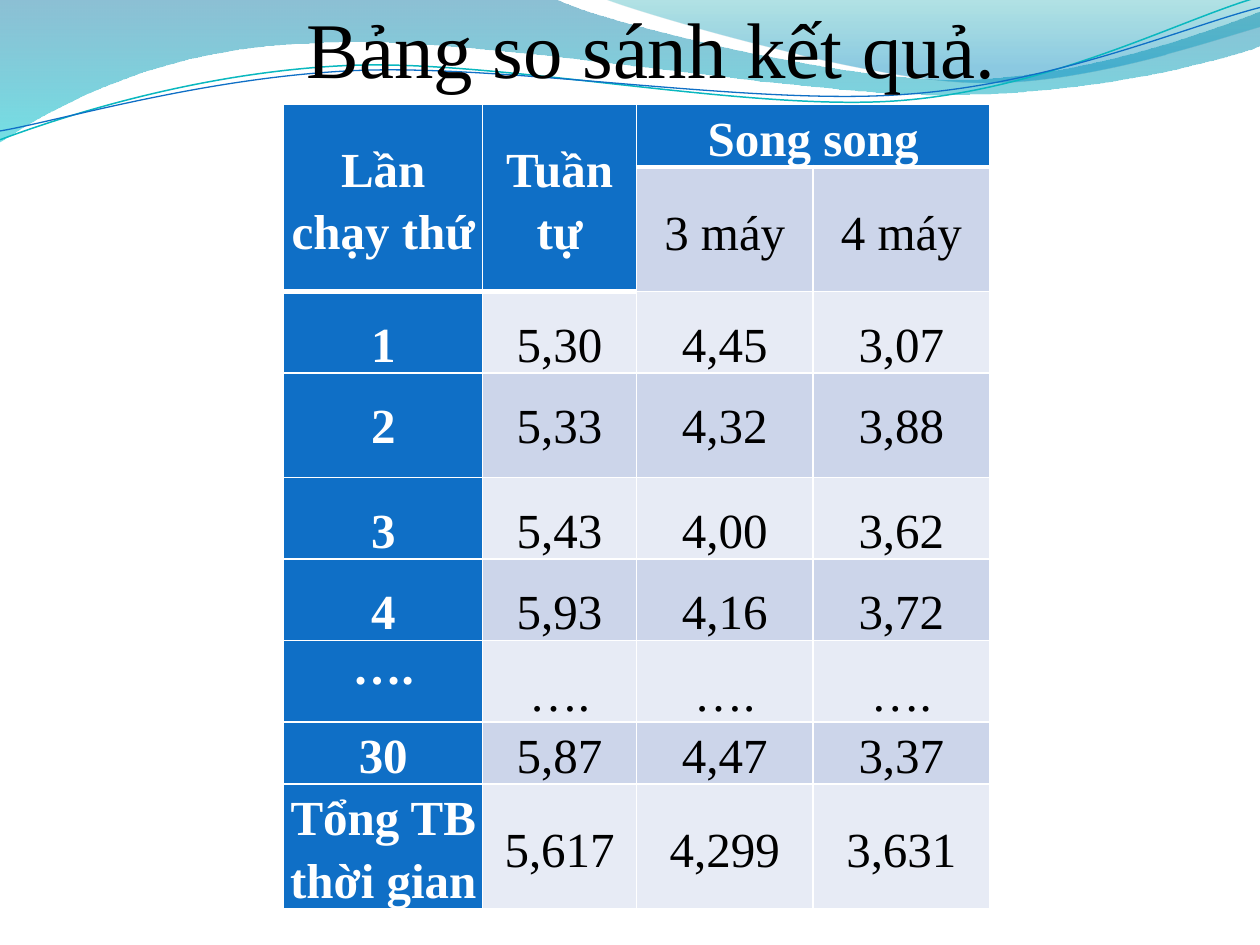
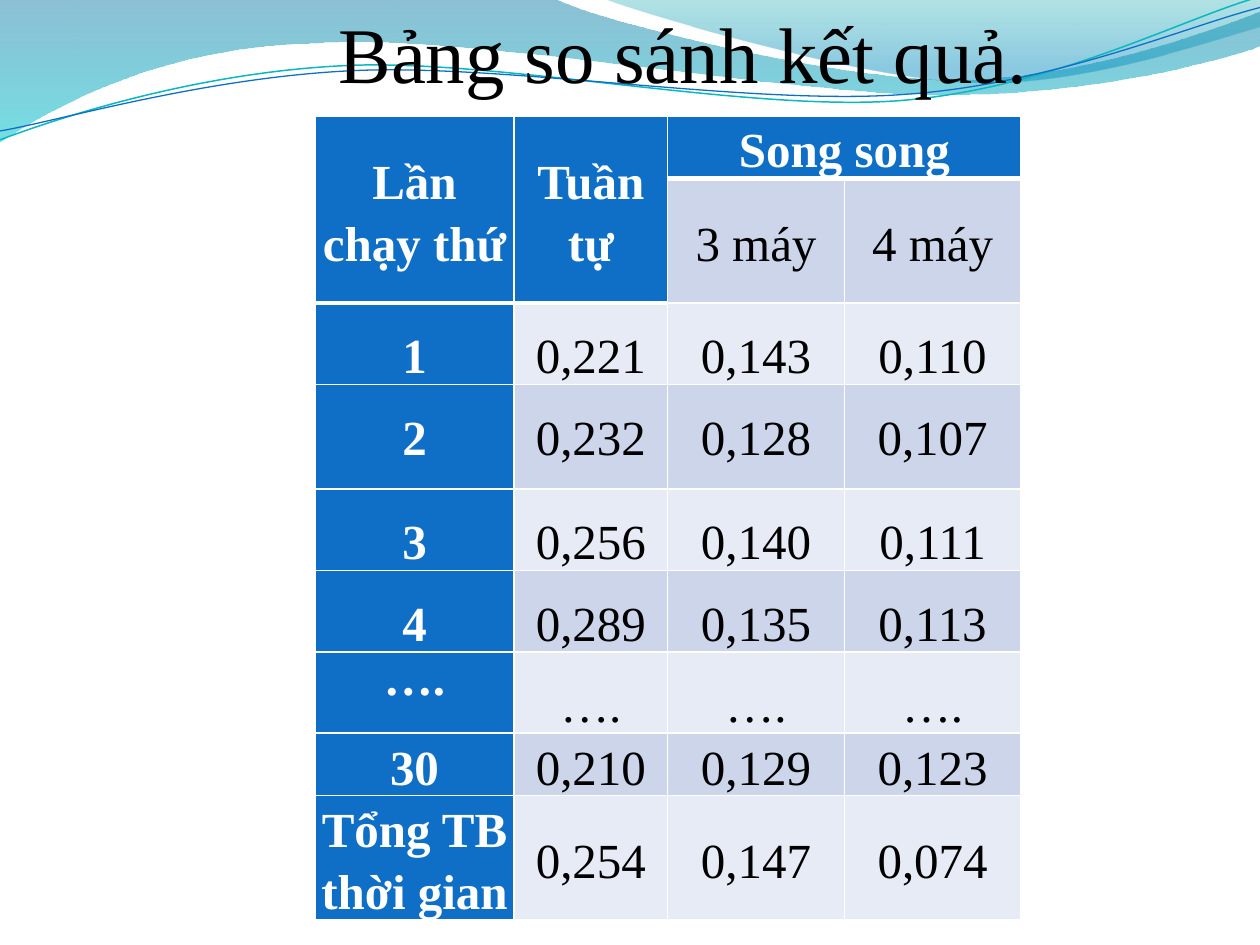
from math import cos, radians, sin
from lxml import etree
from pptx import Presentation, util as u
from pptx.dml.color import RGBColor
from pptx.enum import text
from pptx.oxml.ns import qn

FONT = "Times New Roman"
HUES = {"white": "FFFFFF", "black": "000000", "blue": "0F6FC6", "teal": "0AB8BF",
        "band": "CCD5EA", "pale": "E7EBF5", "deep": "0074A1", "cyan": "00C6CF",
        "sea": "00A1A9", "sky": "008BBF"}
TITLE = "Bảng so sánh kết quả.\v"
HEAD = [["Lần chạy thứ", "Tuần tự", "Song song", ""], ["", "", "3 máy", "4 máy"]]
RUNS = ["1", "2", "3", "4", "….", "30", "Tổng TB thời gian"]
GAP = ["…."] * 3
TIMES = [
    [["5,30", "4,45", "3,07"], ["5,33", "4,32", "3,88"], ["5,43", "4,00", "3,62"],
     ["5,93", "4,16", "3,72"], GAP, ["5,87", "4,47", "3,37"], ["5,617", "4,299", "3,631"]],
    [["0,221", "0,143", "0,110"], ["0,232", "0,128", "0,107"], ["0,256", "0,140", "0,111"],
     ["0,289", "0,135", "0,113"], GAP, ["0,210", "0,129", "0,123"], ["0,254", "0,147", "0,074"]],
]
# Left and top of title and table on each slide, in cm
SPOTS = [((0.43, 0.97), (5.72, 2.11)), ((1.07, 1.07), (6.35, 2.34))]
COLS = [4.01, 3.1, 3.56, 3.56]
# Least heights: rows grow to fit their text
ROWS = [0.43, 1.91, 1.27, 2.11, 0.56, 0.56, 0.56, 0.76, 1.14]
TALL = 16.59

# Wave outlines in inches: one point is a line, three points are a curve
UNIT = u.Cm(2.54)
TILT = -2.7
LEFT = [[(0, 0)], [(4.4, -.01)],
        [(4.76, .17), (6.64, .63), (7.58, .63)], [(8.53, .63), (9.58, .26), (10, .09)],
        [(10.01, .36)], [(9.83, .44), (8.7, .76), (7.46, .75)],
        [(6.22, .75), (3.82, .28), (2.57, .34)], [(1.29, .36), (.46, .83), (-.01, 1.13)],
        [(0, 0)]]
RIGHT = [[(4.79, -.01)], [(5.09, .11), (6.82, .62), (7.69, .65)],
         [(8.56, .69), (9.61, .32), (10, .21)], [(10, 0)], [(4.79, -.01)]]
UPPER = [[(0, 1.11)], [(.48, .93), (1.58, .57), (2.77, .52)],
         [(3.95, .47), (5.93, .89), (7.13, .8)], [(8.33, .71), (9.38, .15), (9.98, -.02)]]
LOWER = [[(0, 1.04)], [(.47, .96), (1.64, .61), (2.83, .56)],
         [(4.03, .51), (5.97, .84), (7.17, .75)], [(8.36, .67), (9.41, .21), (10, .06)]]


def color(name):
    return RGBColor.from_string(HUES[name])


def turn(point, angle):
    """Turn a point about the middle of the wave; the result is in EMU."""
    x, y, a = point[0] - 5, point[1] - 0.58, radians(angle)
    return (round((5 + x * cos(a) - y * sin(a)) * UNIT),
            round((0.58 + x * sin(a) + y * cos(a)) * UNIT))


def bend(shape, parts):
    """Replace the straight segments of a freeform by Bézier curves."""
    lines = list(shape.element.spPr.iter(qn("a:lnTo")))
    for line, part in zip(lines, parts[1:]):
        if len(part) == 3:
            curve = etree.Element(qn("a:cubicBezTo"))
            for x, y in part:
                etree.SubElement(curve, qn("a:pt"), x=str(x - shape.left), y=str(y - shape.top))
            line.getparent().replace(line, curve)


def rule(row, col):
    """Width in points of the border under a cell; the header has a thick one."""
    return 3 if row == 0 or (row == 1 and col < 2) else 1


class Deck:
    def __init__(self):
        self.prs = Presentation()
        self.prs.slide_width, self.prs.slide_height = u.Cm(25.4), u.Cm(19.05)
        self.base = self.prs.slide_layouts[5]
        self.slide = None

    def add(self):
        self.slide = self.prs.slides.add_slide(self.base)

    def wave(self, parts, stops=None, line=None, tilt=0):
        """Draw a wave and move it to the layout, so that all slides show it."""
        parts = [[turn(point, -tilt) for point in part] for part in parts]
        ends = [part[-1] for part in parts]
        pen = self.slide.shapes.build_freeform(*ends[0])
        pen.add_line_segments(ends[1:], close=bool(stops))
        shape = pen.convert_to_shape()
        bend(shape, parts)
        shape.rotation = tilt
        shape.shadow.inherit = False
        if stops:
            shape.line.fill.background()
            shape.fill.gradient()
            shape.fill.gradient_angle = 270
            for stop, (pos, hue, alpha) in zip(shape.fill.gradient_stops, stops):
                stop.position, stop.color.rgb = pos, color(hue)
            tags = shape.element.spPr.iter(qn("a:srgbClr"))
            for tag, (pos, hue, alpha) in zip(tags, stops):
                etree.SubElement(tag, qn("a:alpha")).set("val", str(alpha * 1000))
        else:
            shape.fill.background()
            hue, width = line
            shape.line.color.rgb, shape.line.width = color(hue), u.Pt(width)
        self.base.shapes.element.append(shape.element)

    def style(self, para, size, hue, bold=False):
        para.alignment = text.PP_ALIGN.CENTER
        font = para.font
        font.name, font.size, font.bold = FONT, u.Pt(size), bold
        font.color.rgb = color(hue)

    def title(self, words, left, top):
        box = self.slide.shapes.title
        box.left, box.top, box.width, box.height = map(u.Cm, (left, top, 25.4, 2.84))
        frame = box.text_frame
        frame.text = words
        frame.auto_size = text.MSO_AUTO_SIZE.NONE
        frame.vertical_anchor = text.MSO_ANCHOR.BOTTOM
        frame.margin_left = frame.margin_right = frame.margin_bottom = 0
        frame.margin_top = u.Cm(0.13)
        self.style(frame.paragraphs[0], 45, "black")

    def border(self, cell, row, col):
        sides = {"L": 1, "R": 1, "T": rule(row - 1, col) if row else 1, "B": rule(row, col)}
        props = cell._tc.get_or_add_tcPr()
        for side, width in sides.items():
            line = etree.SubElement(props, qn(f"a:ln{side}"), w=str(u.Pt(width)))
            fill = etree.SubElement(line, qn("a:solidFill"))
            etree.SubElement(fill, qn("a:srgbClr"), val=HUES["white"])

    def cell(self, cell, words, row, col):
        head = col == 0 or rule(row, col) == 3
        self.border(cell, row, col)
        cell.fill.solid()
        cell.fill.fore_color.rgb = color("blue" if head else "band" if row % 2 else "pale")
        cell.margin_left = cell.margin_right = u.Cm(0.08)
        cell.margin_top = cell.margin_bottom = 0
        cell.text = words
        para = cell.text_frame.paragraphs[0]
        self.style(para, 28, "white" if head else "black", head)
        if row < 2 or row > 6:
            cell.vertical_anchor = text.MSO_ANCHOR.MIDDLE
            para.line_spacing = 1.15
        else:
            cell.vertical_anchor = text.MSO_ANCHOR.TOP
            if words != "…." or col:
                para.line_spacing = 1.5
                para.space_before = para.space_after = u.Pt(6)

    def table(self, data, left, top):
        size = map(u.Cm, (left, top, sum(COLS), TALL))
        frame = self.slide.shapes.add_table(len(ROWS), len(COLS), *size)
        grid = frame.table
        for col, width in zip(grid.columns, COLS):
            col.width = u.Cm(width)
        for row, height in zip(grid.rows, ROWS):
            row.height = u.Cm(height)
        frame.height = u.Cm(TALL)
        for r, line in enumerate(data):
            for c, words in enumerate(line):
                self.cell(grid.cell(r, c), words, r, c)
        for start, end in (((0, 0), (1, 0)), ((0, 1), (1, 1)), ((0, 2), (0, 3))):
            grid.cell(*start).merge(grid.cell(*end))


def main():
    deck = Deck()
    for page, (times, (head, body)) in enumerate(zip(TIMES, SPOTS)):
        deck.add()
        if page == 0:
            deck.wave(LEFT, stops=[(0, "deep", 45), (1, "cyan", 55)])
            deck.wave(RIGHT, stops=[(0, "sea", 30), (0.8, "sky", 45)])
            deck.wave(UPPER, line=("teal", 0.85), tilt=TILT)
            deck.wave(LOWER, line=("blue", 0.75), tilt=TILT)
        deck.title(TITLE, *head)
        deck.table(HEAD + [[run, *vals] for run, vals in zip(RUNS, times)], *body)
    deck.prs.save("out.pptx")


if __name__ == "__main__":
    main()
